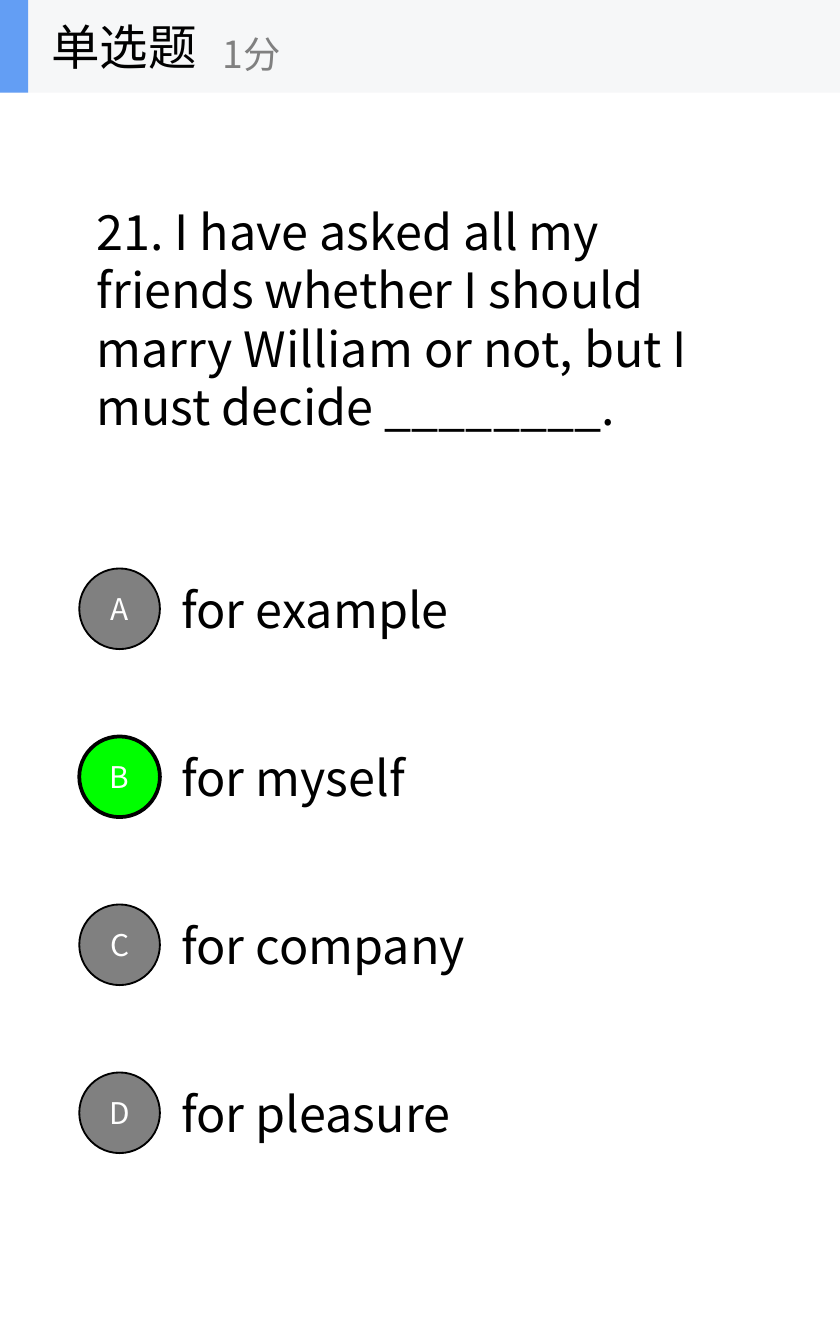
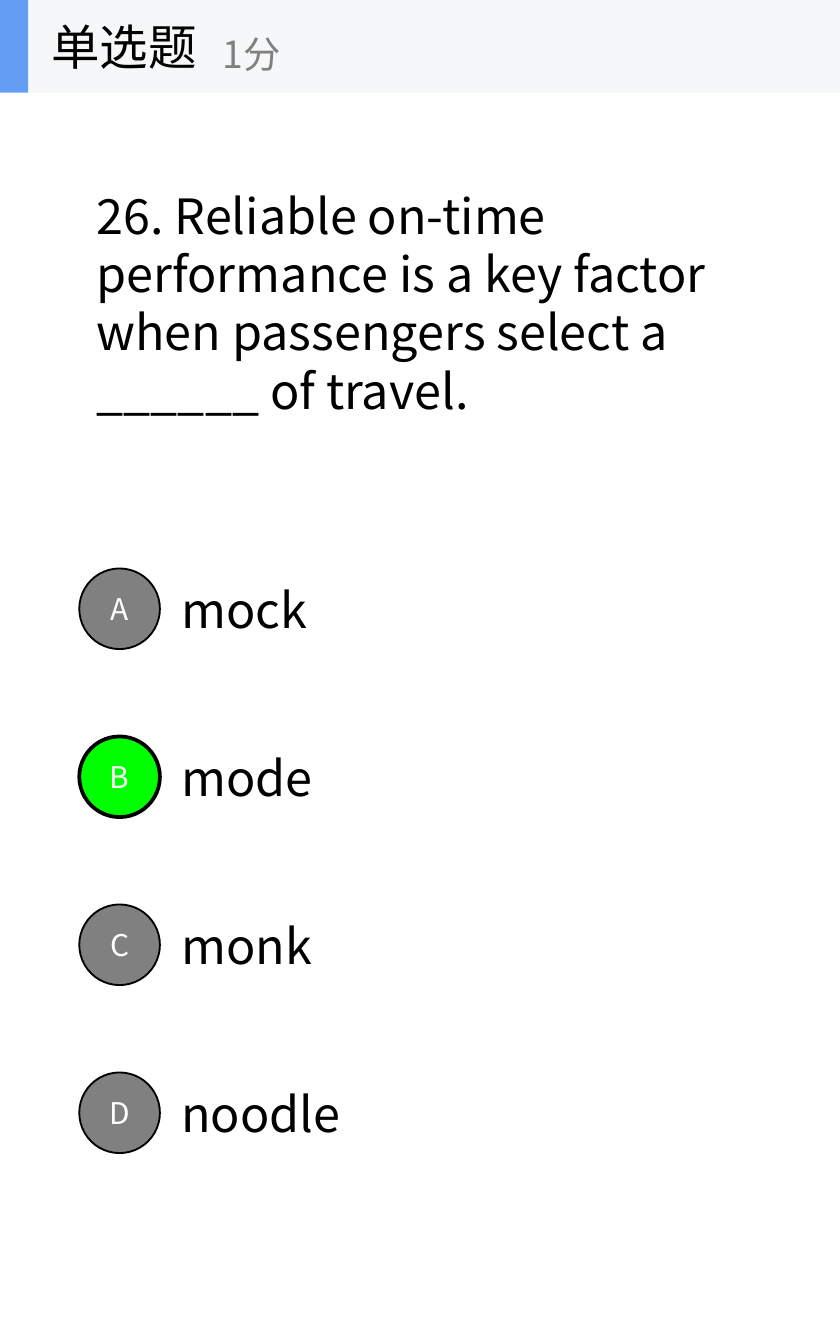
from pptx import Presentation
from pptx.dml.color import RGBColor
from pptx.enum.shapes import MSO_SHAPE as SHAPE
from pptx.enum.text import MSO_ANCHOR as ANCHOR, MSO_AUTO_SIZE as AUTO_SIZE, PP_ALIGN as ALIGN
from pptx.util import Inches, Pt

HEADING = "单选题"
SCORE = "1分"
QUESTIONS = [
    {
        "text": "21. I have asked all my friends whether I should marry William "
                "or not, but I must decide ________.",
        "top": 0.81,
        "options": ["for example", "for myself", "for company", "for pleasure"],
        "answer": "B",
    },
    {
        "text": "26. Reliable on-time performance is a key factor when passengers "
                "select a ______ of travel.",
        "top": 0.69,
        "options": ["mock", "mode", "monk", "noodle"],
        "answer": "B",
    },
]

FONT = "Noto Sans CJK SC"
COLORS = {
    "text": "000000", "badge_text": "FFFFFF", "muted": "808080",
    "answer": "00FF00", "band": "F6F7F8", "accent": "639EF4",
}
WIDTH, HEIGHT = 6.25, 10
BAND_HEIGHT = 0.69
OPTION_TOP, OPTION_STEP, OPTION_HEIGHT = 4.06, 1.25, 0.94
BADGE_SIZE = 0.6


def color(name):
    return RGBColor.from_string(COLORS[name])


def write(shape, text, size, color_name="text", align=ALIGN.LEFT):
    frame = shape.text_frame
    frame.text = text
    frame.word_wrap = True
    frame.auto_size = AUTO_SIZE.NONE
    frame.vertical_anchor = ANCHOR.MIDDLE
    paragraph = frame.paragraphs[0]
    paragraph.alignment = align
    font = paragraph.runs[0].font
    font.name, font.size = FONT, Pt(size)
    font.color.rgb = color(color_name)
    # East Asian glyphs take their typeface from a separate element
    properties = paragraph.runs[0].font._element
    east_asian = properties.makeelement(
        properties.find("{*}latin").tag.replace("latin", "ea"), {"typeface": FONT})
    properties.find("{*}latin").addnext(east_asian)


def add_text(slide, box, text, size, color_name="text"):
    shape = slide.shapes.add_textbox(*map(Inches, box))
    write(shape, text, size, color_name)


def add_filled(slide, kind, box, fill):
    shape = slide.shapes.add_shape(kind, *map(Inches, box))
    shape.shadow.inherit = False
    shape.fill.solid()
    shape.fill.fore_color.rgb = color(fill)
    shape.line.fill.background()
    return shape


def add_header(slide):
    add_filled(slide, SHAPE.RECTANGLE, (0, 0, WIDTH, BAND_HEIGHT), "band")
    add_filled(slide, SHAPE.RECTANGLE, (0, 0, 0.21, BAND_HEIGHT), "accent")
    title = slide.shapes.title
    title.left, title.top, title.width, title.height = map(
        Inches, (0.28, 0, 2.08, BAND_HEIGHT))
    write(title, HEADING, 26)
    # Bring the title in front of the band
    slide.shapes._spTree.append(title._element)
    add_text(slide, (1.56, 0.12, 2.5, 0.56), SCORE, 20, "muted")


def add_badge(slide, letter, top, is_answer):
    badge = add_filled(slide, SHAPE.OVAL, (0.59, top, BADGE_SIZE, BADGE_SIZE),
                       "answer" if is_answer else "muted")
    badge.line.color.rgb = color("text")
    badge.line.width = Pt(2 if is_answer else 1)
    frame = badge.text_frame
    frame.margin_left = frame.margin_right = 0
    frame.margin_top = frame.margin_bottom = 0
    write(badge, letter, 16, "badge_text", ALIGN.CENTER)


def add_question(presentation, question):
    slide = presentation.slides.add_slide(presentation.slide_layouts[5])
    add_text(slide, (0.62, question["top"], 5, 3.12), question["text"], 26)
    # Lettered options at equal steps
    for index, (letter, option) in enumerate(zip("ABCD", question["options"])):
        top = OPTION_TOP + index * OPTION_STEP
        add_text(slide, (1.25, top, 4.38, OPTION_HEIGHT), option, 26)
        add_badge(slide, letter, top + (OPTION_HEIGHT - BADGE_SIZE) / 2,
                  letter == question["answer"])
    add_header(slide)


def main():
    presentation = Presentation()
    presentation.slide_width = Inches(WIDTH)
    presentation.slide_height = Inches(HEIGHT)
    for question in QUESTIONS:
        add_question(presentation, question)
    presentation.save("out.pptx")


if __name__ == "__main__":
    main()
